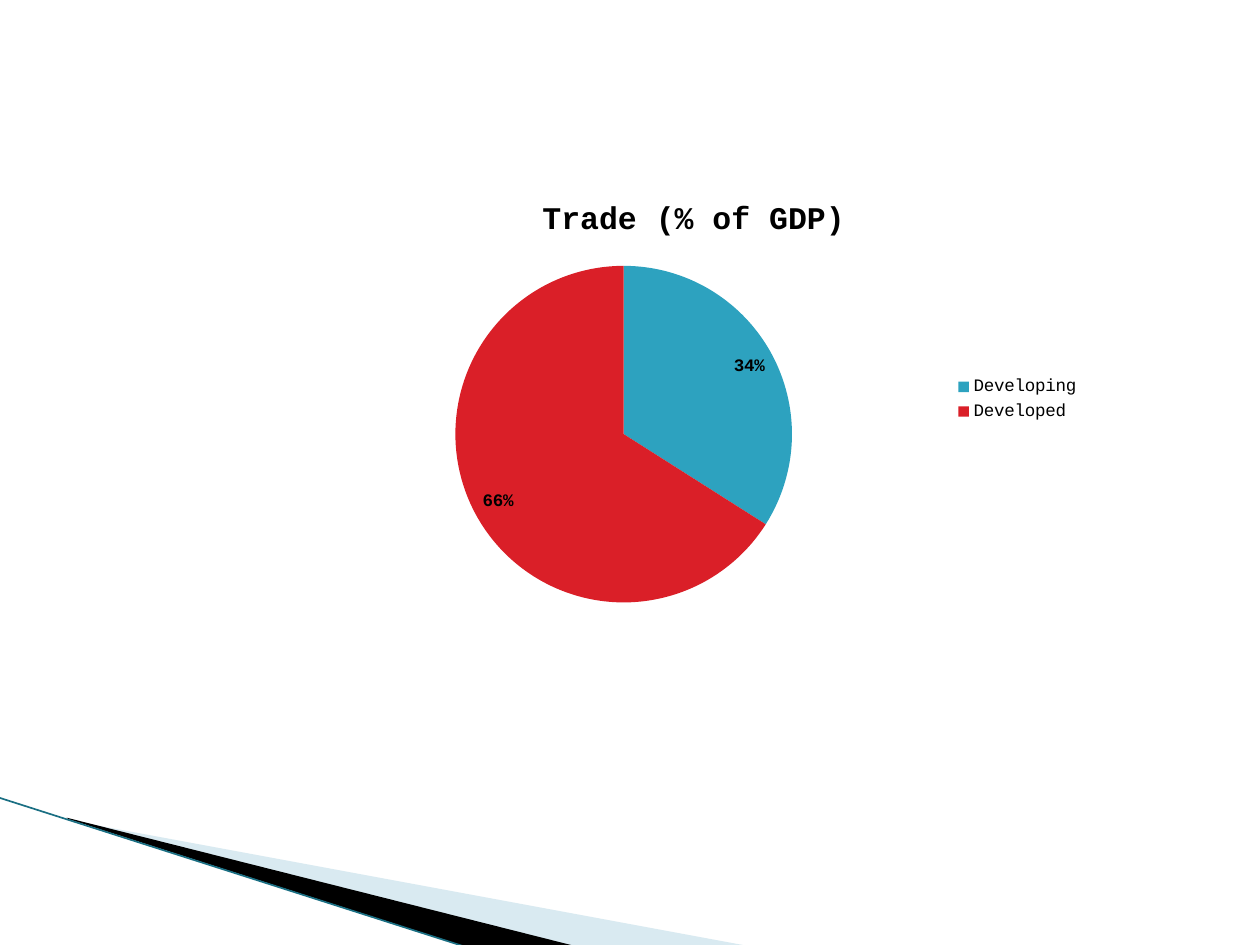
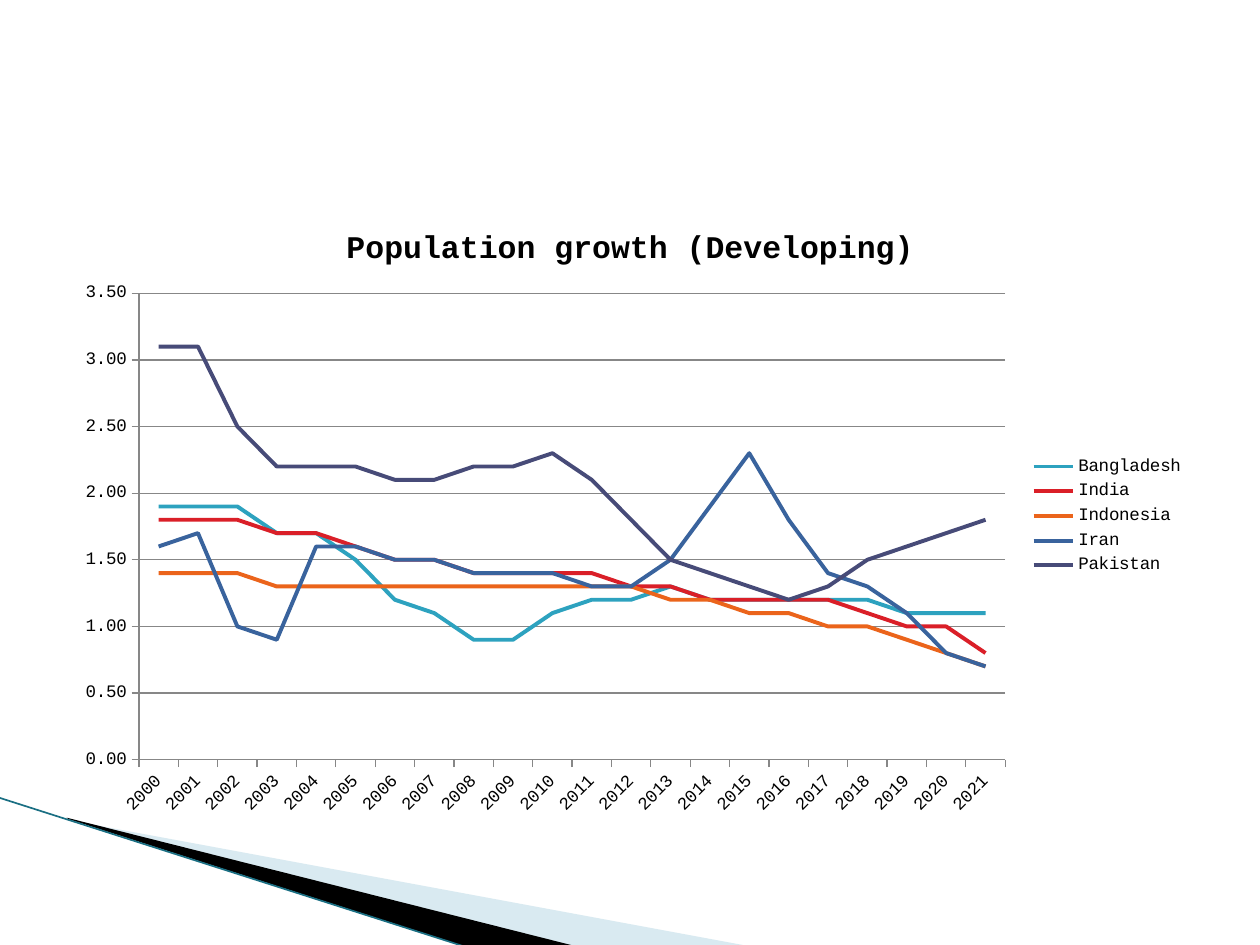
from lxml.etree import SubElement
from pptx import Presentation
from pptx.chart.data import CategoryChartData
from pptx.dml.color import RGBColor
from pptx.enum.chart import XL_CHART_TYPE, XL_LABEL_POSITION, XL_LEGEND_POSITION, XL_MARKER_STYLE, XL_TICK_MARK
from pptx.enum.shapes import MSO_CONNECTOR
from pptx.oxml.ns import qn
from pptx.util import Inches, Pt

WIDTH, HEIGHT = Inches(10), Inches(7.5)
BLACK, AXIS, EDGE = "000000", "878787", "1A6F83"
TEAL, RED, ORANGE, BLUE, INDIGO = "2DA2BF", "DA1F28", "EB641B", "39639D", "474B78"
FONT = {"name": "Courier New", "size": Pt(10), "bold": False}
TITLE_FONT = {"name": "Courier New", "size": Pt(18), "bold": True}
LABEL_FONT = {"name": "Courier New", "size": Pt(10), "bold": True}
HUNDREDTH = Inches(0.01)

WEDGES = [
    ("A0CBDC", 40, [(55, 651), (595, 751), (456, 751), (55, 650)]),
    (BLACK, 100, [(53, 649), (457, 751), (372, 752), (54, 650)]),
]

POPULATION_GROWTH = {
    "Bangladesh": (TEAL, [1.9, 1.9, 1.9, 1.7, 1.7, 1.5, 1.2, 1.1, 0.9, 0.9, 1.1,
                          1.2, 1.2, 1.3, 1.2, 1.2, 1.2, 1.2, 1.2, 1.1, 1.1, 1.1]),
    "India": (RED, [1.8, 1.8, 1.8, 1.7, 1.7, 1.6, 1.5, 1.5, 1.4, 1.4, 1.4,
                    1.4, 1.3, 1.3, 1.2, 1.2, 1.2, 1.2, 1.1, 1, 1, 0.8]),
    "Indonesia": (ORANGE, [1.4, 1.4, 1.4, 1.3, 1.3, 1.3, 1.3, 1.3, 1.3, 1.3, 1.3,
                           1.3, 1.3, 1.2, 1.2, 1.1, 1.1, 1, 1, 0.9, 0.8, 0.7]),
    "Iran": (BLUE, [1.6, 1.7, 1, 0.9, 1.6, 1.6, 1.5, 1.5, 1.4, 1.4, 1.4,
                    1.3, 1.3, 1.5, 1.9, 2.3, 1.8, 1.4, 1.3, 1.1, 0.8, 0.7]),
    "Pakistan": (INDIGO, [3.1, 3.1, 2.5, 2.2, 2.2, 2.2, 2.1, 2.1, 2.2, 2.2, 2.3,
                          2.1, 1.8, 1.5, 1.4, 1.3, 1.2, 1.3, 1.5, 1.6, 1.7, 1.8]),
}
GROWTH_LAYOUT = {
    "layoutTarget": "inner", "xMode": "edge", "yMode": "edge",
    "x": "0.067", "y": "0.143", "w": "0.764", "h": "0.748",
}

trade_data = CategoryChartData()
trade_data.categories = ["Developing", "Developed"]
trade_data.add_series("Trade (% of GDP)", [34, 66])

growth_data = CategoryChartData(number_format="0.00")
growth_data.categories = [str(year) for year in range(2000, 2022)]
for country, (_, rates) in POPULATION_GROWTH.items():
    growth_data.add_series(country, rates)

CHARTS = [
    (XL_CHART_TYPE.PIE, "Trade (% of GDP)", trade_data, (0.234, 0.189, 0.633, 0.467)),
    (XL_CHART_TYPE.LINE, "Population growth (Developing)", growth_data, (0.05, 0.216, 0.9, 0.66)),
]


def paint(color_format, color):
    color_format.rgb = RGBColor.from_string(color)


def style_font(font, values):
    for attribute, value in values.items():
        setattr(font, attribute, value)
    paint(font.color, BLACK)


presentation = Presentation()
presentation.slide_width, presentation.slide_height = WIDTH, HEIGHT
charts = []

for chart_type, title, data, (left, top, width, height) in CHARTS:
    slide = presentation.slides.add_slide(presentation.slide_layouts[6])

    for color, opacity, points in WEDGES:
        builder = slide.shapes.build_freeform(*points[0], scale=HUNDREDTH)
        builder.add_line_segments(points[1:], close=True)
        wedge = builder.convert_to_shape()
        wedge.shadow.inherit = False
        wedge.line.fill.background()
        wedge.fill.solid()
        paint(wedge.fill.fore_color, color)
        if opacity < 100:
            fill_color = wedge.fill._xPr.find(qn("a:solidFill"))[0]
            SubElement(fill_color, qn("a:alpha"), val=str(opacity * 1000))

    edge = slide.shapes.add_connector(
        MSO_CONNECTOR.STRAIGHT, Inches(-0.01), Inches(6.33), Inches(3.71), Inches(7.52))
    paint(edge.line.color, EDGE)
    edge.line.width = Pt(0.95)
    SubElement(edge._element.spPr, qn("a:effectLst"))

    chart = slide.shapes.add_chart(
        chart_type, int(WIDTH * left), int(HEIGHT * top), int(WIDTH * width), int(HEIGHT * height), data).chart
    style_font(chart.font, FONT)
    chart.has_title = True
    chart.chart_title.include_in_layout = False
    chart.chart_title.text_frame.text = title
    style_font(chart.chart_title.text_frame.paragraphs[0].runs[0].font, TITLE_FONT)
    chart.has_legend = True
    chart.legend.position = XL_LEGEND_POSITION.RIGHT
    chart.legend.include_in_layout = False
    style_font(chart.legend.font, FONT)
    charts.append(chart)

trade_chart, growth_chart = charts

trade_plot = trade_chart.plots[0]
trade_plot.vary_by_categories = True
for index, color in enumerate([TEAL, RED]):
    slice_fill = trade_plot.series[0].points[index].format.fill
    slice_fill.solid()
    paint(slice_fill.fore_color, color)
trade_plot.has_data_labels = True
LABEL_FORMAT = {
    "show_percentage": True, "show_value": False, "number_format": "0%",
    "number_format_is_linked": False, "position": XL_LABEL_POSITION.INSIDE_END,
}
for attribute, value in LABEL_FORMAT.items():
    setattr(trade_plot.data_labels, attribute, value)
style_font(trade_plot.data_labels.font, LABEL_FONT)

growth_plot = growth_chart.plots[0]
growth_plot.vary_by_categories = False
for series in growth_plot.series:
    series.smooth = False
    series.marker.style = XL_MARKER_STYLE.NONE
    series.format.line.width = Pt(2.25)
    paint(series.format.line.color, POPULATION_GROWTH[series.name][0])

plot_area = growth_chart._chartSpace.chart.plotArea
for old_layout in plot_area.findall(qn("c:layout")):
    plot_area.remove(old_layout)
layout = SubElement(plot_area, qn("c:layout"))
plot_area.insert(0, layout)
manual_layout = SubElement(layout, qn("c:manualLayout"))
for tag, value in GROWTH_LAYOUT.items():
    SubElement(manual_layout, qn(f"c:{tag}"), val=value)

value_axis = growth_chart.value_axis
for attribute, value in {"minimum_scale": 0, "maximum_scale": 3.5, "major_unit": 0.5}.items():
    setattr(value_axis, attribute, value)
value_axis.has_major_gridlines = True
value_axis.tick_labels.number_format = "0.00"
value_axis.tick_labels.number_format_is_linked = False
for axis in [growth_chart.category_axis, value_axis]:
    axis.major_tick_mark = XL_TICK_MARK.OUTSIDE
    axis.minor_tick_mark = XL_TICK_MARK.NONE
    style_font(axis.tick_labels.font, FONT)
for line in [growth_chart.category_axis.format.line, value_axis.format.line, value_axis.major_gridlines.format.line]:
    line.width = Pt(0.75)
    paint(line.color, AXIS)

presentation.save("out.pptx")
